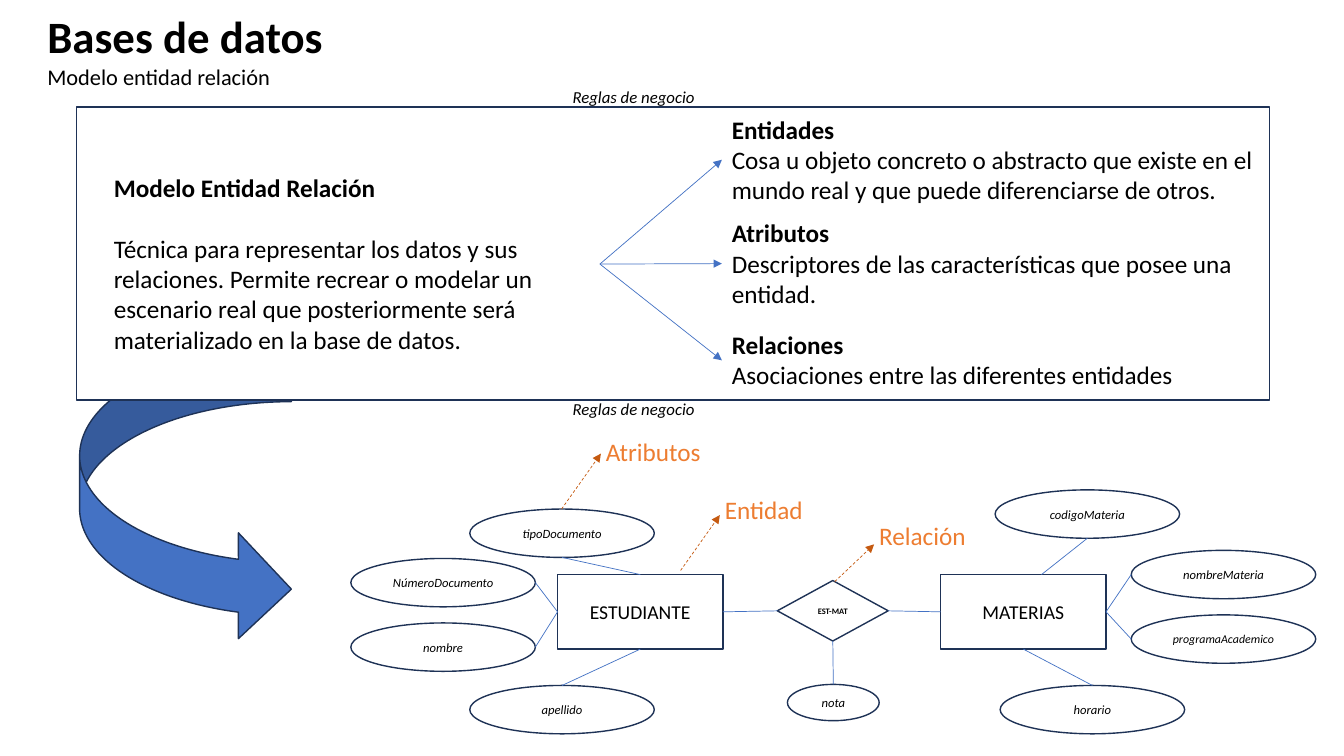
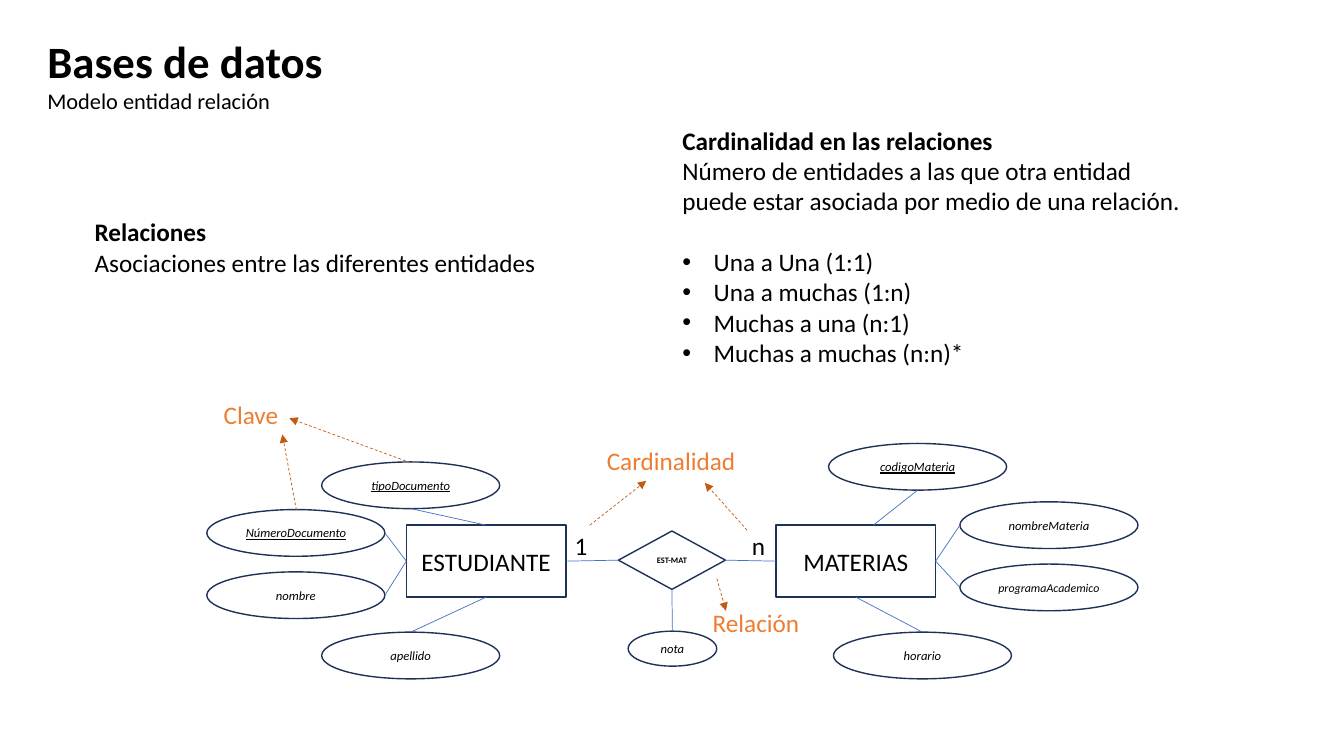
from lxml import etree
from pptx import Presentation
from pptx.dml.color import RGBColor
from pptx.enum.dml import MSO_LINE
from pptx.enum.shapes import MSO_CONNECTOR, MSO_SHAPE
from pptx.enum.text import MSO_ANCHOR, MSO_AUTO_SIZE, PP_ALIGN
from pptx.oxml.ns import qn
from pptx.util import Inches, Pt

RECT, ELLIPSE = MSO_SHAPE.RECTANGLE, MSO_SHAPE.OVAL
DIAMOND, CURVED_ARROW = MSO_SHAPE.FLOWCHART_DECISION, MSO_SHAPE.CURVED_RIGHT_ARROW
STRAIGHT, DASH = MSO_CONNECTOR.STRAIGHT, MSO_LINE.DASH
LEFT, CENTER = PP_ALIGN.LEFT, PP_ALIGN.CENTER
TOP_ANCHOR, MIDDLE = MSO_ANCHOR.TOP, MSO_ANCHOR.MIDDLE
GROW = MSO_AUTO_SIZE.SHAPE_TO_FIT_TEXT

FONT = "Calibri"
BLACK, WHITE, NAVY, BLUE = "000000", "FFFFFF", "1E3256", "4472C4"
ORANGE, RUST = "ED7D31", "C55A11"
BLANK_LINE = 22

TOP, LEFT_SIDE, BOTTOM, RIGHT_SIDE = range(4)
SIDE_POINTS = ((0.5, 0), (0, 0.5), (0.5, 1), (1, 0.5))

NODES = (
    ("ESTUDIANTE", RECT, 0, 0, 1.64, 0.74),
    ("EST-MAT", DIAMOND, 2.18, 0.06, 1.1, 0.6),
    ("MATERIAS", RECT, 3.8, 0, 1.64, 0.74),
)
ATTRIBUTES = (
    ("tipoDocumento", "ESTUDIANTE", -0.87, -0.65, BOTTOM),
    ("NúmeroDocumento", "ESTUDIANTE", -2.05, -0.16, RIGHT_SIDE),
    ("nombre", "ESTUDIANTE", -2.05, 0.48, RIGHT_SIDE),
    ("apellido", "ESTUDIANTE", -0.87, 1.1, TOP),
    ("codigoMateria", "MATERIAS", 4.34, -0.84, BOTTOM),
    ("nombreMateria", "MATERIAS", 5.69, -0.24, LEFT_SIDE),
    ("programaAcademico", "MATERIAS", 5.69, 0.4, LEFT_SIDE),
    ("horario", "MATERIAS", 4.39, 1.1, TOP),
    ("nota", "EST-MAT", 2.28, 1.09, TOP),
)
ATTRIBUTE_SIZE = (1.83, 0.48)
SPECIAL_SIZES = {"nota": (0.91, 0.36)}
END_SHIFTS = {"codigoMateria": 0.18}
RELATIONS = ("Relaciones", "Asociaciones entre las diferentes entidades")


def rgb(value):
    """Turn a hex string into a colour."""
    return RGBColor.from_string(value)


def style(p, size, color=BLACK, bold=False, italic=False, underline=False):
    """Format every run of a paragraph."""
    for r in p.runs:
        r.font.name, r.font.size = FONT, Pt(size)
        r.font.color.rgb = rgb(color)
        r.font.bold, r.font.italic, r.font.underline = bold, italic, underline


def add_bullet(p):
    """Give a paragraph a hanging round bullet."""
    ppr = p._p.get_or_add_pPr()
    ppr.set("marL", str(Inches(0.31)))
    ppr.set("indent", str(-Inches(0.31)))
    etree.SubElement(ppr, qn("a:buFont")).set("typeface", "Arial")
    etree.SubElement(ppr, qn("a:buChar")).set("char", "•")


def add_title(s, top):
    """Fill the title placeholder with the course name and topic."""
    title = s.shapes.title
    title.left, title.top = Inches(0.37), Inches(top)
    title.width, title.height = Inches(7.41), Inches(0.91)
    tf = title.text_frame
    tf.text = "Bases de datos\nModelo entidad relación"
    tf.word_wrap, tf.auto_size, tf.vertical_anchor = True, GROW, TOP_ANCHOR
    for p, size, bold in zip(tf.paragraphs, (32, 16), (True, False)):
        p.alignment = LEFT
        p.line_spacing, p.space_before = 1.0, Pt(0)
        style(p, size, bold=bold)


def add_text(shapes, text, x, y, w, h, size=18, **look):
    """Add a wrapping text box with one look."""
    tb = shapes.add_textbox(Inches(x), Inches(y), Inches(w), Inches(h))
    tf = tb.text_frame
    tf.text = text
    tf.word_wrap, tf.auto_size = True, GROW
    for p in tf.paragraphs:
        style(p, size, **look)
    return tb


def add_definition(shapes, term, meaning, x, y, w, h, gap=0):
    """Add a bold term with its meaning below."""
    tb = add_text(shapes, f"{term}\n{meaning}", x, y, w, h)
    heading, body = tb.text_frame.paragraphs
    style(heading, 18, bold=True)
    body.space_before = Pt(gap)
    return tb


def add_outline(shapes, kind, x, y, w, h, fill=None):
    """Add a navy outlined shape, filled if a colour is given."""
    sp = shapes.add_shape(kind, Inches(x), Inches(y), Inches(w), Inches(h))
    sp.shadow.inherit = False
    sp.line.color.rgb, sp.line.width = rgb(NAVY), Pt(1)
    if fill:
        sp.fill.solid()
        sp.fill.fore_color.rgb = rgb(fill)
    else:
        sp.fill.background()
    return sp


def add_node(shapes, kind, text, box, size, **look):
    """Add an outlined diagram node with centred text."""
    sp = add_outline(shapes, kind, *box)
    tf = sp.text_frame
    tf.text = text
    tf.word_wrap, tf.vertical_anchor = True, MIDDLE
    tf.margin_left = tf.margin_right = tf.margin_top = tf.margin_bottom = 0
    tf.paragraphs[0].alignment = CENTER
    style(tf.paragraphs[0], size, **look)
    return sp


def add_line(shapes, start=(0, 0), end=(0, 0), color=BLUE, arrow=False, dashed=False):
    """Add a thin straight connector."""
    line = shapes.add_connector(STRAIGHT, *map(Inches, start + end))
    line.line.color.rgb, line.line.width = rgb(color), Pt(0.5)
    if dashed:
        line.line.dash_style = DASH
    if arrow:
        etree.SubElement(line.line._get_or_add_ln(), qn("a:tailEnd")).set("type", "triangle")
    etree.SubElement(line._element.spPr, qn("a:effectLst"))
    return line


def join(shapes, first, first_side, second, second_side, arrow=False):
    """Connect the side middles of two shapes."""
    line = add_line(shapes, arrow=arrow)
    line.begin_connect(first, first_side)
    line.end_connect(second, second_side)


def side_point(box, side):
    """Return the middle of one side of a box."""
    x, y, w, h = box
    fx, fy = SIDE_POINTS[side]
    return x + w * fx, y + h * fy


def add_diagram(shapes, left, top, scale=1.0, entity_size=14, keys=()):
    """Draw the entity relationship diagram from its top left entity."""
    def place(dx, dy, w, h):
        """Scale a box and move it to the diagram origin."""
        return left + dx * scale, top + dy * scale, w * scale, h * scale

    nodes, boxes = {}, {}
    for name, kind, *box in NODES:
        boxes[name] = place(*box)
        entity = kind == RECT
        nodes[name] = add_node(shapes, kind, name, boxes[name],
                               entity_size if entity else 6, bold=not entity)
    relation = nodes["EST-MAT"]
    join(shapes, relation, LEFT_SIDE, nodes["ESTUDIANTE"], RIGHT_SIDE)
    join(shapes, relation, RIGHT_SIDE, nodes["MATERIAS"], LEFT_SIDE)

    for name, owner, dx, dy, side in ATTRIBUTES:
        box = place(dx, dy, *SPECIAL_SIZES.get(name, ATTRIBUTE_SIZE))
        size = 8.5 if name == "programaAcademico" else 9
        add_node(shapes, ELLIPSE, name, box, size, italic=True, underline=name in keys)
        owner_side = (side + 2) % 4
        x, y = side_point(boxes[owner], owner_side)
        shift = END_SHIFTS.get(name, 0) * scale
        line = add_line(shapes, side_point(box, side), (x + shift, y))
        if not shift:
            line.end_connect(nodes[owner], owner_side)


def add_callouts(shapes, labels, arrows):
    """Add orange labels and the dashed arrows that lead to them."""
    for text, x, y in labels:
        add_text(shapes, text, x, y, 1.49, 0.4, color=ORANGE)
    for start, end in arrows:
        add_line(shapes, start, end, RUST, arrow=True, dashed=True)


def build_model(prs):
    """Build the slide that defines the model."""
    s = prs.slides.add_slide(prs.slide_layouts[5])
    shapes = s.shapes
    add_title(s, 0.04)
    add_outline(shapes, CURVED_ARROW, 0.79, 3.46, 2.1, 2.91, BLUE)
    add_outline(shapes, RECT, 0.76, 1.06, 11.83, 2.91, WHITE)
    model = add_definition(
        shapes, "Modelo Entidad Relación",
        "Técnica para representar los datos y sus relaciones. Permite recrear o modelar un "
        "escenario real que posteriormente será materializado en la base de datos.",
        1.03, 1.66, 4.92, 1.92, BLANK_LINE)
    parts = (
        ("Entidades", "Cosa u objeto concreto o abstracto que existe en el mundo real "
         "y que puede diferenciarse de otros.", 1.08, 5.4, 1.01),
        ("Atributos", "Descriptores de las características que posee una entidad.",
         2.11, 5.51, 1.01),
        (*RELATIONS, 3.22, 5.51, 0.71),
    )
    for term, meaning, y, w, h in parts:
        part = add_definition(shapes, term, meaning, 7.16, y, w, h)
        join(shapes, model, RIGHT_SIDE, part, LEFT_SIDE, arrow=True)
    for y in (0.81, 3.91):
        add_text(shapes, "Reglas de negocio", 5.58, y, 2.19, 0.3, 12, italic=True)
    add_diagram(shapes, 5.53, 5.7)
    add_callouts(
        shapes,
        (("Atributos", 5.91, 4.28), ("Entidad", 7.09, 4.86), ("Relación", 8.62, 5.11)),
        (((5.57, 5.05), (5.96, 4.5)), ((6.75, 5.66), (7.14, 5.11)),
         ((8.28, 5.77), (8.67, 5.4))))


def build_cardinality(prs):
    """Build the slide about cardinality."""
    s = prs.slides.add_slide(prs.slide_layouts[5])
    add_title(s, 0.28)
    tb = add_text(
        s.shapes,
        "Cardinalidad en las relaciones\n"
        "Número de entidades a las que otra entidad puede estar asociada por medio de una "
        "relación.\nUna a Una (1:1)\nUna a muchas (1:n)\nMuchas a una (n:1)\n"
        "Muchas a muchas (n:n)*",
        6.67, 1.19, 5.23, 2.52)
    heading, _, *kinds = tb.text_frame.paragraphs
    style(heading, 18, bold=True)
    kinds[0].space_before = Pt(BLANK_LINE)
    for p in kinds:
        add_bullet(p)
    add_definition(s.shapes, *RELATIONS, 0.84, 2.1, 4.64, 0.71)

    shapes = s.shapes.add_group_shape().shapes
    add_diagram(shapes, 4.03, 5.21, 0.965, 18,
                ("tipoDocumento", "NúmeroDocumento", "codigoMateria"))
    for text, x in (("1", 5.6), ("n", 7.36)):
        add_text(shapes, text, x, 5.21, 0.5, 0.4)
    add_callouts(
        shapes,
        (("Clave", 2.12, 3.91), ("Cardinalidad", 5.92, 4.37), ("Relación", 6.97, 5.98)),
        (((4.07, 4.59), (2.87, 4.15)), ((2.94, 5.06), (2.8, 4.31)),
         ((5.85, 5.21), (6.41, 4.77)), ((7.41, 5.26), (6.99, 4.79)),
         ((7.11, 5.74), (7.2, 6.06))))


def main():
    """Build and save the presentation."""
    prs = Presentation()
    prs.slide_width, prs.slide_height = Inches(13.33), Inches(7.5)
    build_model(prs)
    build_cardinality(prs)
    prs.save("out.pptx")


if __name__ == "__main__":
    main()
